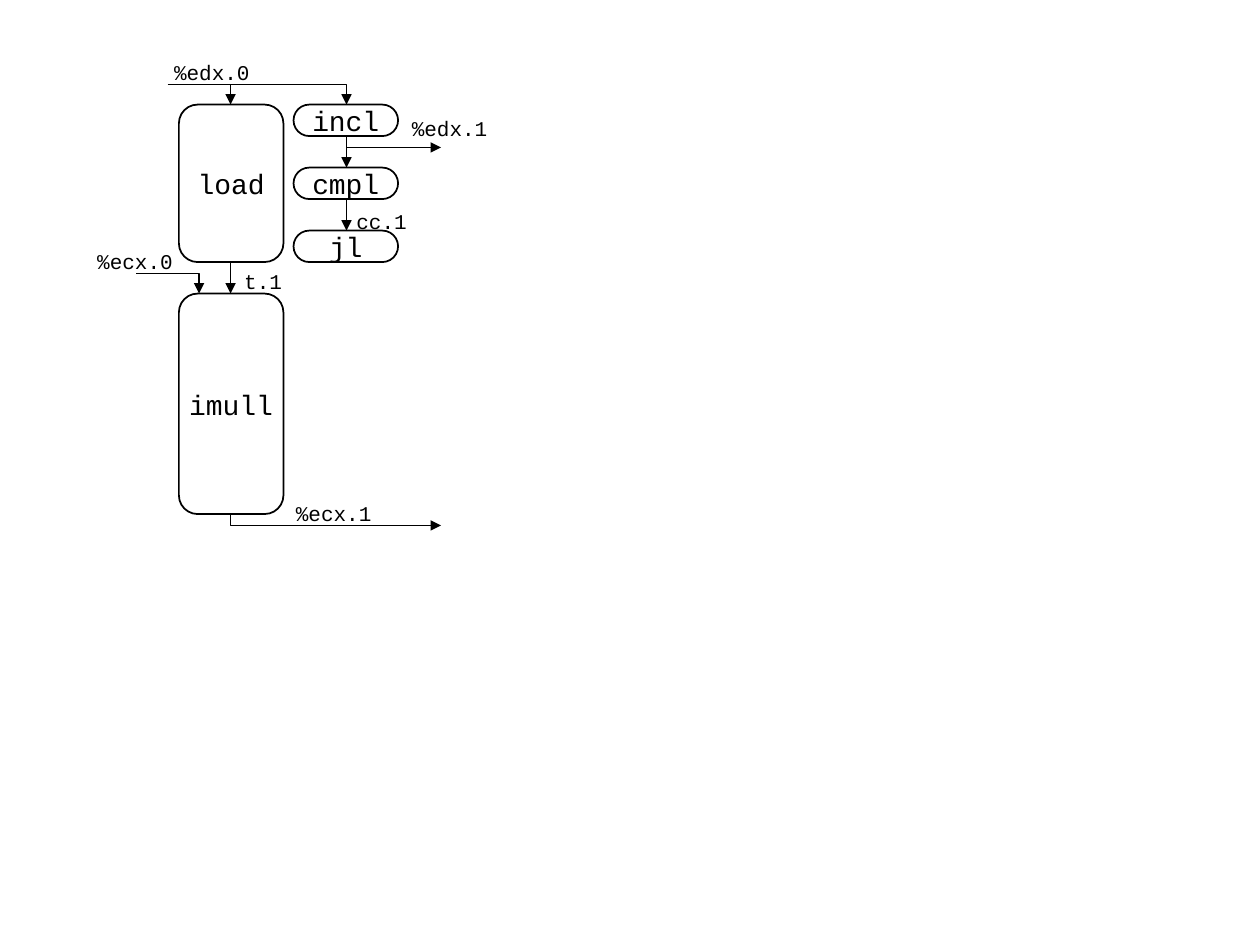
from dataclasses import dataclass

from pptx import Presentation
from pptx.dml.color import RGBColor
from pptx.enum.shapes import MSO_CONNECTOR as Connector, MSO_SHAPE as Shape
from pptx.enum.text import MSO_ANCHOR as Anchor, MSO_AUTO_SIZE as AutoSize, PP_ALIGN as Align
from pptx.oxml.ns import qn
from pptx.slide import Slide
from pptx.util import Inches, Pt
from lxml.etree import SubElement


def color(value):
    """Turn a hex string into a colour."""
    return RGBColor.from_string(value)


@dataclass
class Diagram:
    """Style of the data-flow diagram and the slide it is drawn on."""
    page: Slide
    font: str = "Courier New"
    ink: str = "000000"
    paper: str = "FFFFFF"
    label_size: float = 12
    node_size: float = 16
    wire_width: float = 0.75
    node_width: float = 1

    def set_text(self, shape, text, size, align):
        """Put one formatted line of text into a shape."""
        frame = shape.text_frame
        frame.word_wrap = False
        para = frame.paragraphs[0]
        para.text = text
        para.alignment = align
        font = para.runs[0].font
        font.name, font.size = self.font, Pt(size)
        font.color.rgb = color(self.ink)

    def label(self, text, left, top, width=0.8, align=Align.LEFT):
        """Add the name of a value beside its wire."""
        box = self.page.shapes.add_textbox(
            Inches(left), Inches(top), Inches(width), Inches(0.3))
        self.set_text(box, text, self.label_size, align)
        box.text_frame.auto_size = AutoSize.SHAPE_TO_FIT_TEXT

    def node(self, text, left, top, height, rounding):
        """Add a rounded operation box."""
        box = self.page.shapes.add_shape(
            Shape.ROUNDED_RECTANGLE, Inches(left), Inches(top), Inches(0.83), Inches(height))
        box.adjustments[0] = rounding
        box.shadow.inherit = False
        box.fill.solid()
        box.fill.fore_color.rgb = color(self.paper)
        box.line.color.rgb = color(self.ink)
        box.line.width = Pt(self.node_width)
        box.text_frame.vertical_anchor = Anchor.MIDDLE
        self.set_text(box, text, self.node_size, Align.CENTER)

    def wire(self, *points, arrow=True):
        """Draw a straight or bent line through the points."""
        spots = [(Inches(x), Inches(y)) for x, y in points]
        if len(spots) == 2:
            line = self.page.shapes.add_connector(Connector.STRAIGHT, *spots[0], *spots[1])
            outline = line.line
            outline.color.rgb = color(self.ink)
            SubElement(line.element.spPr, qn("a:effectLst"))
        else:
            builder = self.page.shapes.build_freeform(*spots[0])
            builder.add_line_segments(spots[1:], close=False)
            line = builder.convert_to_shape()
            line.shadow.inherit = False
            line.fill.background()
            outline = line.line
            outline.color.rgb = color(self.ink)
        outline.width = Pt(self.wire_width)
        if arrow:
            SubElement(line.element.spPr.find(qn("a:ln")), qn("a:tailEnd"), type="triangle")


def build():
    """Build the data-flow slide and save it."""
    deck = Presentation()
    deck.slide_width, deck.slide_height = Inches(10), Inches(7.5)
    diagram = Diagram(deck.slides.add_slide(deck.slide_layouts[6]))

    diagram.label("cc.1", 2.73, 1.61, 0.6)
    diagram.label("t.1", 1.84, 2.08, 0.5)
    diagram.label("%ecx.1", 2.25, 3.92)
    diagram.label("%edx.0", 1.28, 0.42, align=Align.RIGHT)
    diagram.label("%edx.1", 3.17, 0.87)
    diagram.label("%ecx.0", 0.67, 1.92, align=Align.RIGHT)

    diagram.node("load", 1.42, 0.83, 1.25, 0.18)
    diagram.node("imull", 1.42, 2.33, 1.75, 0.18)
    for row, name in enumerate(("incl", "cmpl", "jl")):
        diagram.node(name, 2.33, 0.83 + 0.5 * row, 0.25, 0.5)

    main, side, edge, end = 1.83, 2.75, 3.25, 3.5
    for top in (1.08, 1.58):
        diagram.wire((side, top), (side, top + 0.25))
    diagram.wire((main, 2.08), (main, 2.33))
    diagram.wire((main, 0.67), (main, 0.83))
    diagram.wire((1.33, 0.67), (side, 0.67), (side, 0.83))
    diagram.wire((1.33, 2.17), (1.58, 2.17), (1.58, 2.33))
    diagram.wire((1.33, 2.17), (1.08, 2.17), arrow=False)
    diagram.wire((main, 4.08), (main, 4.17), (edge, 4.17), arrow=False)
    diagram.wire((side, 1.17), (edge, 1.17), arrow=False)
    for level in (1.17, 4.17):
        diagram.wire((edge, level), (end, level))

    deck.save("out.pptx")


build()
